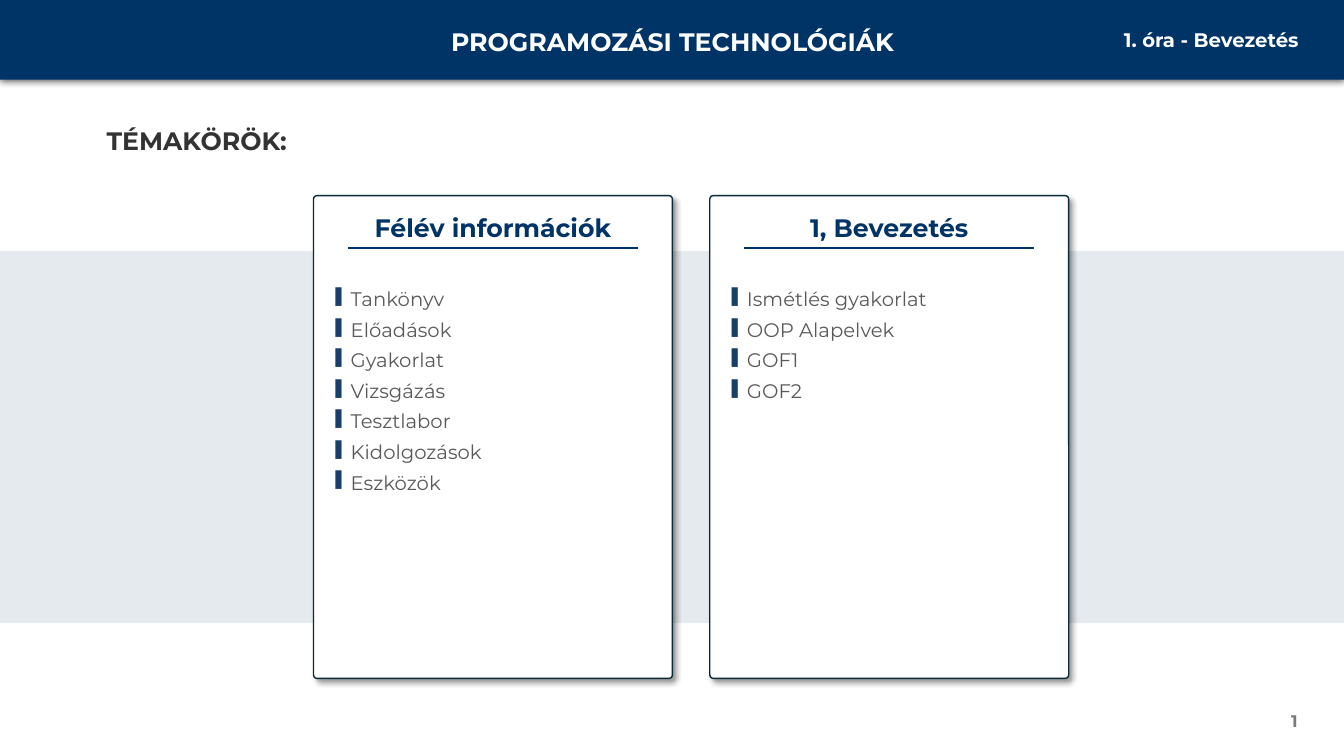
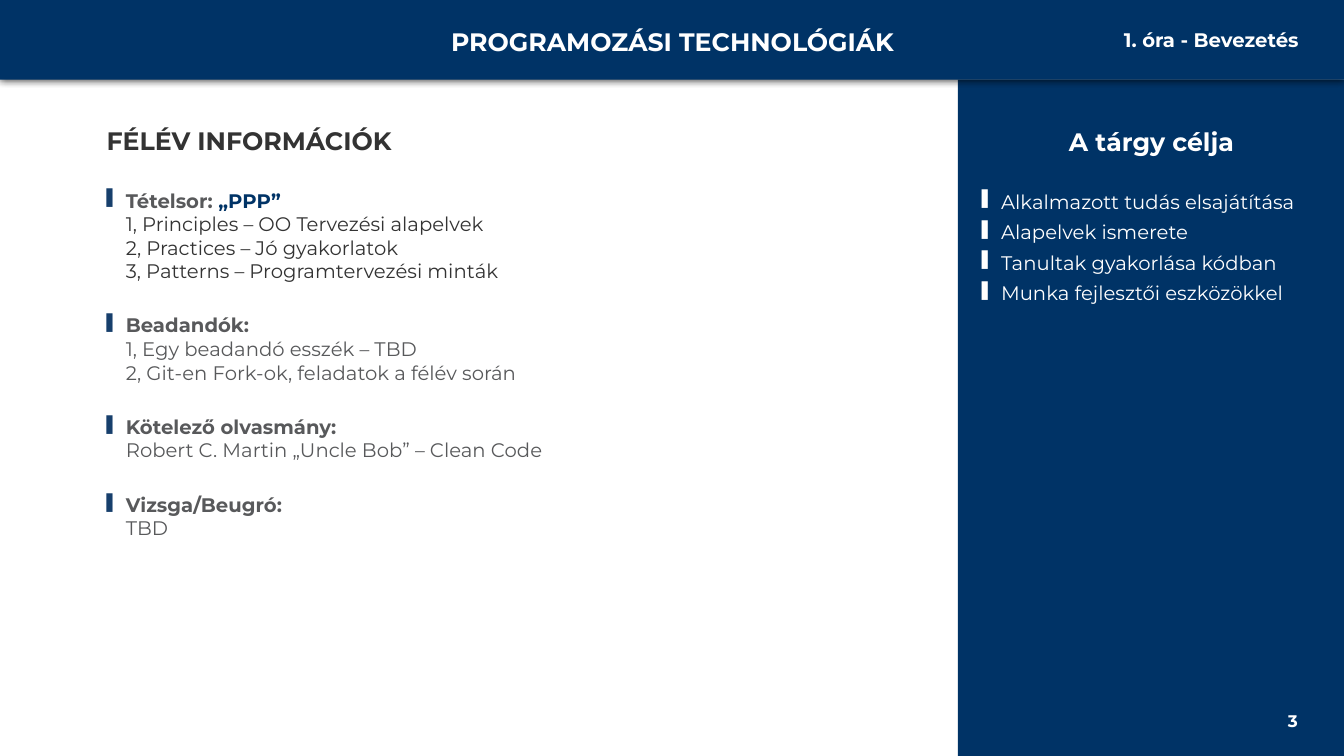
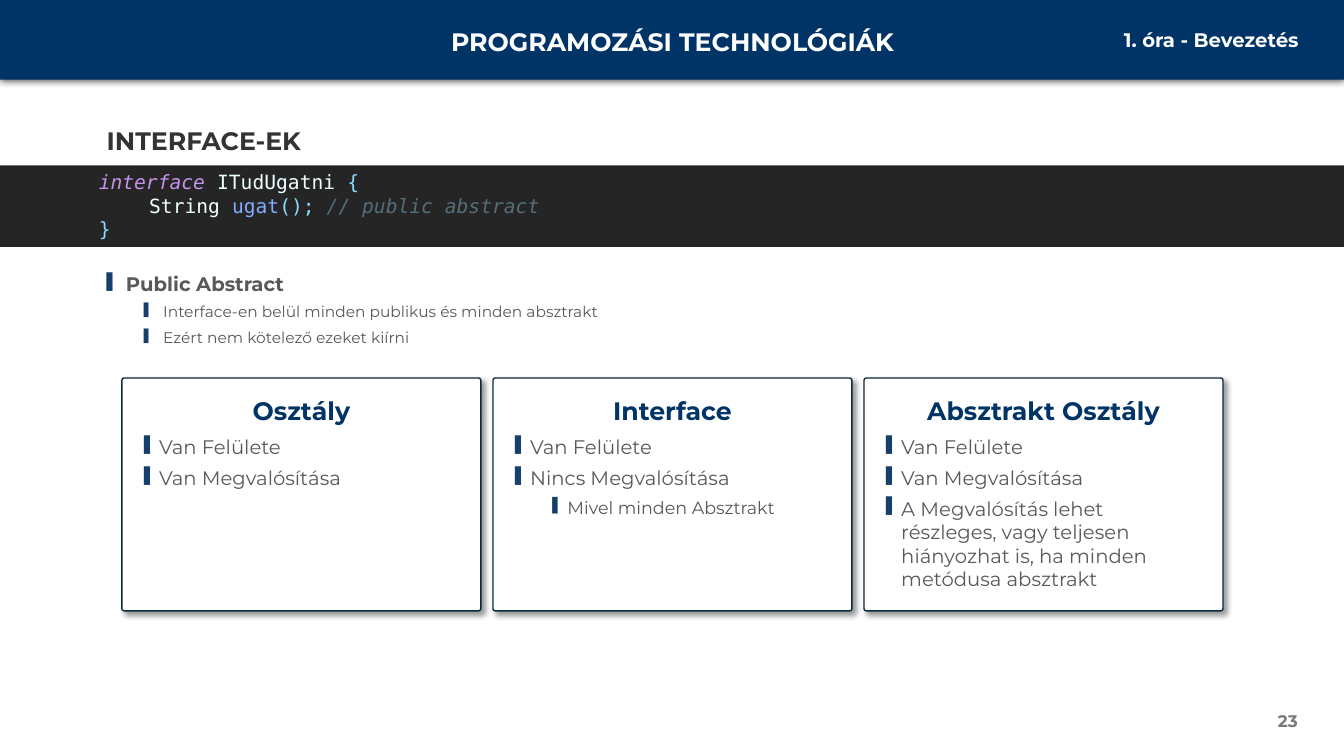
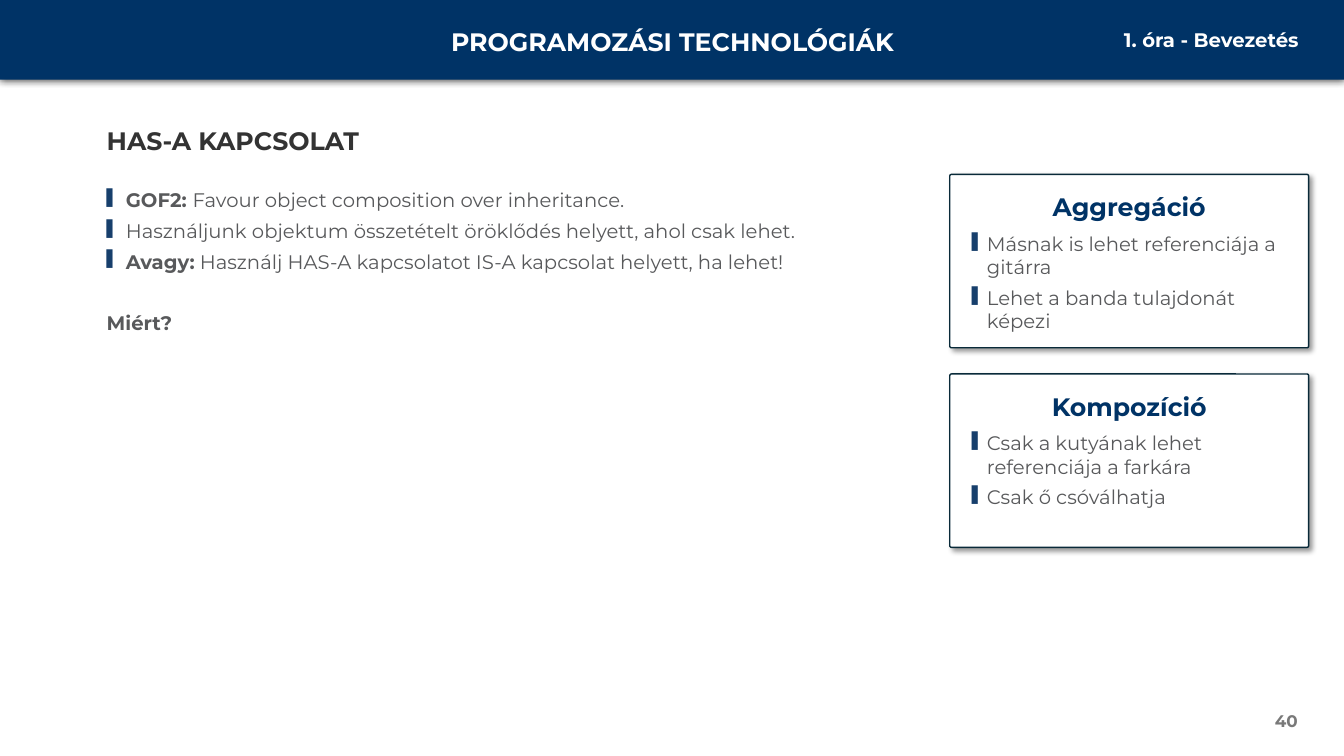
from lxml import etree
from pptx import Presentation
from pptx.dml.color import RGBColor
from pptx.enum.shapes import MSO_CONNECTOR, MSO_SHAPE
from pptx.enum.text import MSO_ANCHOR, PP_ALIGN
from pptx.oxml.ns import qn
from pptx.util import Pt

RECT, ROUNDED = MSO_SHAPE.RECTANGLE, MSO_SHAPE.ROUNDED_RECTANGLE
STRAIGHT = MSO_CONNECTOR.STRAIGHT
LEFT, CENTER, RIGHT = PP_ALIGN.LEFT, PP_ALIGN.CENTER, PP_ALIGN.RIGHT
TOP, MIDDLE = MSO_ANCHOR.TOP, MSO_ANCHOR.MIDDLE

PX = 9144
WIDTH, HEIGHT, HEADER = 1333, 750, 79
CARD_WIDTH, CARD_PAD, TITLE_HEIGHT = 356, 12, 40
RULE_INSET, LEVEL_STEP = 34, 37

NAVY, WHITE, BLACK = "003366", "FFFFFF", "000000"
INK, GRAY, PALE_GRAY = "333333", "58595B", "797979"
MARKER, CARD_EDGE, CODE_BACK = "173F6C", "092A39", "252526"
KEYWORD, PLAIN, SYMBOL = "C792EA", "EEFFFF", "89DDFF"
METHOD, REMARK = "82AAFF", "546E7A"

STYLE = dict(size=14, font="Montserrat", color=GRAY, bold=False, italic=False,
             align=LEFT, level=0, hang=0, bullet=None, before=0, after=0)
TITLE = dict(size=18, bold=True)
CARD_TITLE = dict(TITLE, color=NAVY, align=CENTER)
LIST = dict(hang=19, bullet=MARKER, before=3, after=2)
CARD_LIST = dict(LIST, hang=15)
BOLD = dict(bold=True)
BLOCK_GAP = 19
QUESTION_GAP = 25

COURSE = "PROGRAMOZÁSI TECHNOLÓGIÁK"
LESSON = "1. óra - Bevezetés"

TOPIC_CARDS = [
    ("Félév információk", ["Tankönyv", "Előadások", "Gyakorlat", "Vizsgázás",
                           "Tesztlabor", "Kidolgozások", "Eszközök"]),
    ("1, Bevezetés", ["Ismétlés gyakorlat", "OOP Alapelvek", "GOF1", "GOF2"]),
]

SEMESTER = [
    dict(after=BLOCK_GAP, text=[
        ("Tételsor: ", BOLD),
        ("„PPP”\n", dict(bold=True, color=NAVY)),
        ("1, Principles – OO Tervezési alapelvek\n"
         "2, Practices – Jó gyakorlatok\n"
         "3, Patterns – Programtervezési minták", dict(color=INK))]),
    dict(after=BLOCK_GAP, text=[
        ("Beadandók:\n", BOLD),
        ("1, Egy beadandó esszék – TBD\n"
         "2, Git-en Fork-ok, feladatok a félév során", {})]),
    dict(after=BLOCK_GAP, text=[
        ("Kötelező olvasmány:\n", BOLD),
        ("Robert C. Martin „Uncle Bob” – Clean Code", {})]),
    dict(text=[("Vizsga/Beugró:\n", BOLD), ("TBD", {})]),
]
GOALS = ["Alkalmazott tudás elsajátítása", "Alapelvek ismerete",
         "Tanultak gyakorlása kódban", "Munka fejlesztői eszközökkel"]

CODE = [
    dict(text=[("interface", dict(color=KEYWORD, italic=True)),
               (" ITudUgatni ", {}), ("{", dict(color=SYMBOL))]),
    dict(text=[("\tString ", {}), ("ugat", dict(color=METHOD)),
               ("();", dict(color=SYMBOL)), (" ", {}),
               ("// public abstract", dict(color=REMARK, italic=True))]),
    dict(text="}", color=SYMBOL),
]
ABSTRACT = [
    dict(text="Public Abstract", bold=True),
    dict(text="Interface-en belül minden publikus és minden absztrakt",
         level=1, size=11),
    dict(text="Ezért nem kötelező ezeket kiírni", level=1, size=11),
]
TYPE_CARDS = [
    ("Osztály", ["Van Felülete", "Van Megvalósítása"]),
    ("Interface", ["Van Felülete", "Nincs Megvalósítása",
                   dict(text="Mivel minden Absztrakt", level=1, size=12.5)]),
    ("Absztrakt Osztály", [
        "Van Felülete", "Van Megvalósítása",
        "A Megvalósítás lehet részleges, vagy teljesen hiányozhat is, "
        "ha minden metódusa absztrakt"]),
]

COMPOSITION = [
    dict(text=[("GOF2: ", BOLD),
               ("Favour object composition over inheritance.", {})]),
    "Használjunk objektum összetételt öröklődés helyett, ahol csak lehet.",
    dict(text=[("Avagy:", BOLD),
               (" Használj HAS-A kapcsolatot IS-A kapcsolat helyett, ha lehet!",
                {})]),
    dict(text="Miért?", bold=True, hang=0, bullet=None, before=QUESTION_GAP),
]
RELATION_CARDS = [
    ("Aggregáció", ["Másnak is lehet referenciája a gitárra",
                    "Lehet a banda tulajdonát képezi"]),
    ("Kompozíció", ["Csak a kutyának lehet referenciája a farkára",
                    "Csak ő csóválhatja"]),
]


def rgb(color):
    return RGBColor.from_string(color)


def emu(*lengths):
    return [length * PX for length in lengths]


def add_node(parent, tag, **attributes):
    return etree.SubElement(parent, qn(tag), attributes)


def add_color(parent, color, alpha):
    node = add_node(parent, "a:srgbClr", val=color)
    add_node(node, "a:alpha", val=str(alpha * 1000))


def add_bullet(properties, color):
    holder = add_node(properties, "a:buClr")
    add_node(holder, "a:srgbClr", val=color)
    add_node(properties, "a:buSzPct", val="80000")
    add_node(properties, "a:buChar", char="▌")


def add_span(para, text, look):
    for number, line in enumerate(text.split("\n")):
        if number:
            para.add_line_break()
            add_node(para._p[-1], "a:rPr", sz=str(int(look["size"] * 100)))
        if line:
            span = para.add_run()
            span.text = line
            span.font.size = Pt(look["size"])
            span.font.name = look["font"]
            span.font.bold = look["bold"]
            span.font.italic = look["italic"]
            span.font.color.rgb = rgb(look["color"])


def write(frame, entries, **style):
    frame.word_wrap = True
    for number, entry in enumerate(entries):
        item = entry if isinstance(entry, dict) else dict(text=entry)
        look = {**STYLE, **style, **item}
        para = frame.add_paragraph() if number else frame.paragraphs[0]
        properties = para._p.get_or_add_pPr()
        if look["bullet"]:
            add_bullet(properties, look["bullet"])
        indent = look["hang"] + LEVEL_STEP * look["level"]
        properties.set("marL", str(indent * PX))
        properties.set("indent", str(-look["hang"] * PX))
        para.level = look["level"]
        para.alignment = look["align"]
        para.space_before = Pt(look["before"] if number else 0)
        para.space_after = Pt(look["after"])
        text = look["text"]
        for words, change in [(text, {})] if isinstance(text, str) else text:
            add_span(para, words, {**look, **change})


def add_text(slide, place, entries, anchor=TOP, **style):
    box = slide.shapes.add_textbox(*emu(*place))
    box.text_frame.vertical_anchor = anchor
    write(box.text_frame, entries, **style)


def add_panel(slide, place, fill, kind=RECT, edge=None, alpha=100, shadow=None):
    panel = slide.shapes.add_shape(kind, *emu(*place))
    panel.fill.solid()
    panel.fill.fore_color.rgb = rgb(fill)
    if alpha < 100:
        color = panel._element.spPr.find(qn("a:solidFill"))[0]
        add_node(color, "a:alpha", val=str(alpha * 1000))
    if edge:
        panel.line.color.rgb = rgb(edge)
        panel.line.width = Pt(1)
    else:
        panel.line.fill.background()
    panel.shadow.inherit = False
    if shadow:
        strength, blur, distance, angle = shadow
        effects = panel._element.spPr.find(qn("a:effectLst"))
        node = add_node(effects, "a:outerShdw", blurRad=str(Pt(blur)),
                        dist=str(Pt(distance)), dir=str(angle * 60000))
        add_color(node, BLACK, strength)
    return panel


def add_rule(slide, left, right, top):
    rule = slide.shapes.add_connector(STRAIGHT, *emu(left, top, right, top))
    rule.line.color.rgb = rgb(NAVY)
    rule.line.width = Pt(1.5)
    add_node(rule._element.spPr, "a:effectLst")


def add_card(slide, left, top, height, card, ruled=False):
    title, entries = card
    panel = add_panel(slide, (left, top, CARD_WIDTH, height), WHITE, ROUNDED,
                      edge=CARD_EDGE, shadow=(40, 4, 3, 45))
    panel.adjustments[0] = 0.01
    add_text(slide, (left, top + CARD_PAD, CARD_WIDTH, TITLE_HEIGHT), [title],
             **CARD_TITLE)
    offset = CARD_PAD + TITLE_HEIGHT
    if ruled:
        add_rule(slide, left + RULE_INSET, left + CARD_WIDTH - RULE_INSET,
                 top + offset)
        offset += RULE_INSET
    add_text(slide, (left + CARD_PAD, top + offset, CARD_WIDTH - 2 * CARD_PAD,
                     height - offset), entries, **CARD_LIST)


def add_page(deck, heading, number, number_color=PALE_GRAY, backdrop=None):
    slide = deck.slides.add_slide(deck.slide_layouts[6])
    if backdrop:
        add_panel(slide, **backdrop)
    add_panel(slide, (0, 0, WIDTH, HEADER), NAVY, shadow=(80, 6, 0, 90))
    add_text(slide, (406, 21, 522, 40), [COURSE], color=WHITE, align=CENTER,
             **TITLE)
    add_text(slide, (1028, 23, 270, 34), [LESSON], color=WHITE, align=RIGHT,
             bold=True)
    add_text(slide, (96, 119, 356, 40), [heading], color=INK, **TITLE)
    add_text(slide, (997, 695, 300, 40), [str(number)], anchor=MIDDLE, size=12,
             bold=True, color=number_color, align=RIGHT)
    return slide


def topics_slide(deck):
    band = dict(place=(0, 249, WIDTH, 369), fill=NAVY, alpha=10)
    slide = add_page(deck, "TÉMAKÖRÖK:", 1, backdrop=band)
    for column, card in enumerate(TOPIC_CARDS):
        add_card(slide, 311 + column * (CARD_WIDTH + 37), 194, 479, card,
                 ruled=True)


def semester_slide(deck):
    sidebar = dict(place=(950, HEADER, WIDTH - 950, HEIGHT - HEADER), fill=NAVY)
    slide = add_page(deck, "FÉLÉV INFORMÁCIÓK", 3, WHITE, sidebar)
    add_text(slide, (96, 182, 854, 491), SEMESTER, **LIST)
    add_text(slide, (964, 120, 356, 40), ["A tárgy célja"], color=WHITE,
             align=CENTER, **TITLE)
    add_text(slide, (964, 183, 356, 491), GOALS,
             **dict(LIST, color=WHITE, bullet=WHITE))


def interface_slide(deck):
    slide = add_page(deck, "INTERFACE-EK", 23)
    code = add_panel(slide, (0, 164, WIDTH, 81), CODE_BACK).text_frame
    code.margin_left = 98 * PX
    code.vertical_anchor = TOP
    write(code, CODE, font="DejaVu Sans Mono", color=PLAIN)
    add_text(slide, (96, 265, 1202, 90), ABSTRACT, **LIST)
    for column, card in enumerate(TYPE_CARDS):
        add_card(slide, 121 + column * (CARD_WIDTH + 12), 375, 231, card)


def relation_slide(deck):
    slide = add_page(deck, "HAS-A KAPCSOLAT", 40)
    for row, card in enumerate(RELATION_CARDS):
        add_card(slide, 942, 173 + row * (172 + 26), 172, card)
    add_text(slide, (96, 182, 846, 513), COMPOSITION, **LIST)


def main():
    deck = Presentation()
    deck.slide_width, deck.slide_height = emu(WIDTH, HEIGHT)
    for build in (topics_slide, semester_slide, interface_slide, relation_slide):
        build(deck)
    deck.save("out.pptx")


if __name__ == "__main__":
    main()
